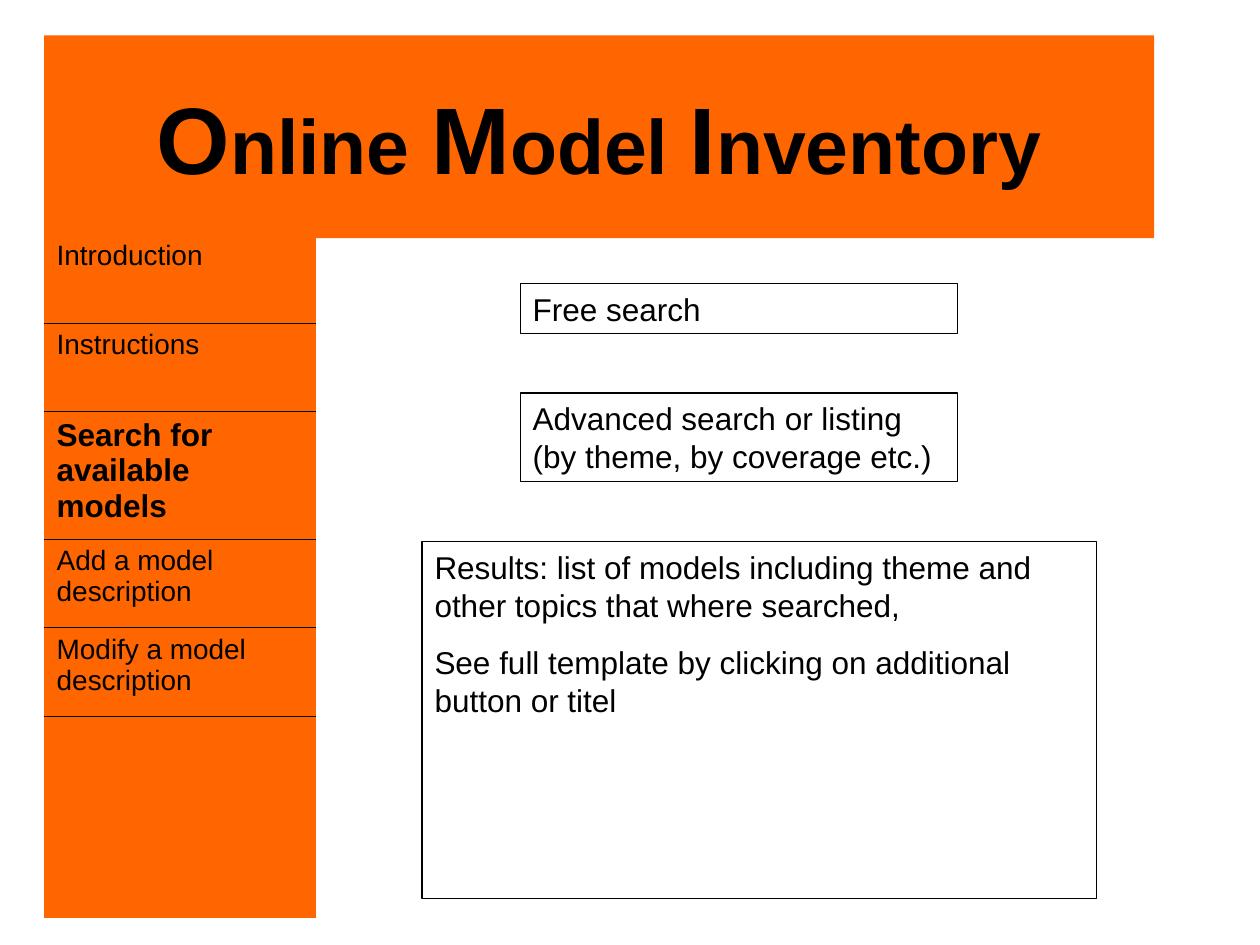
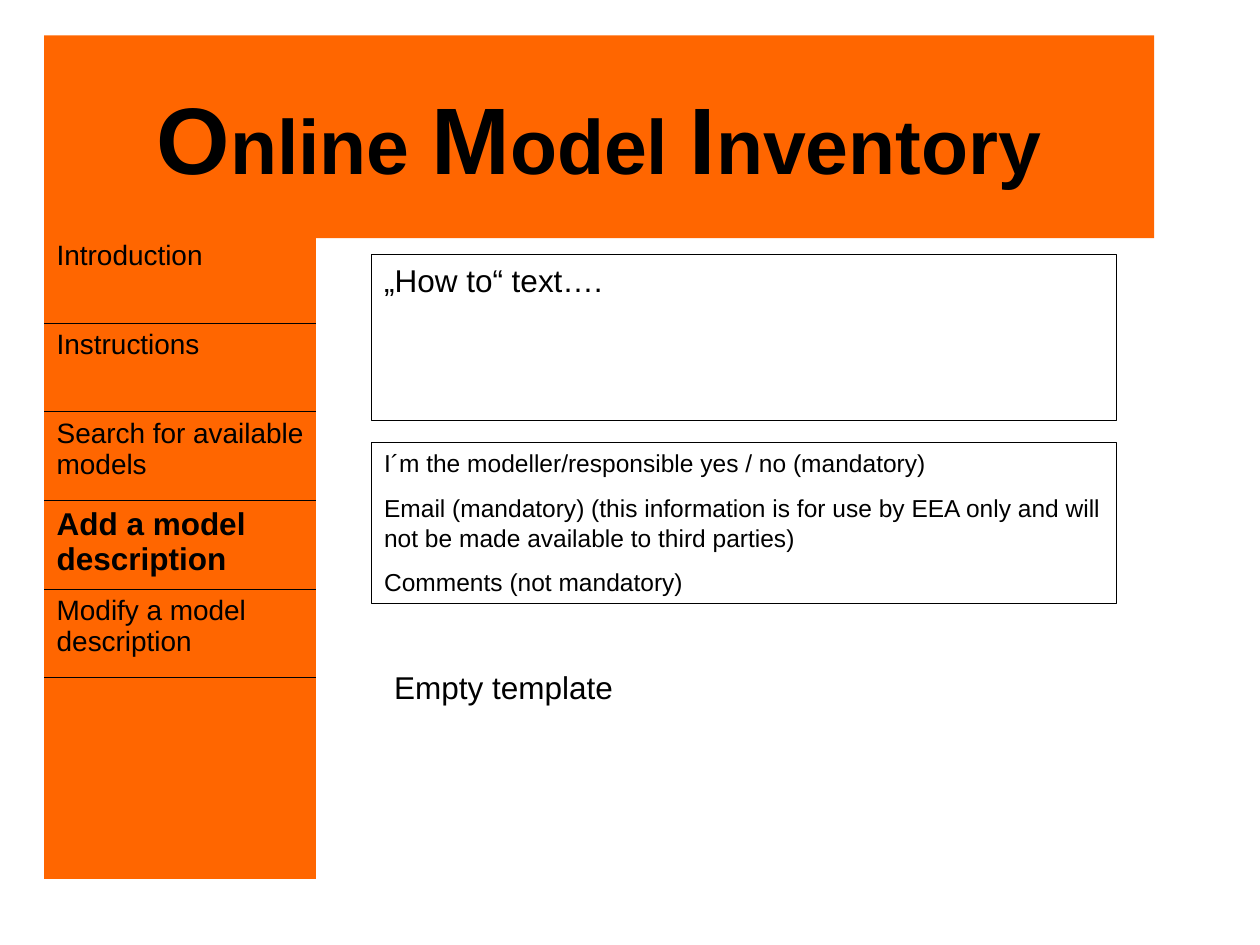
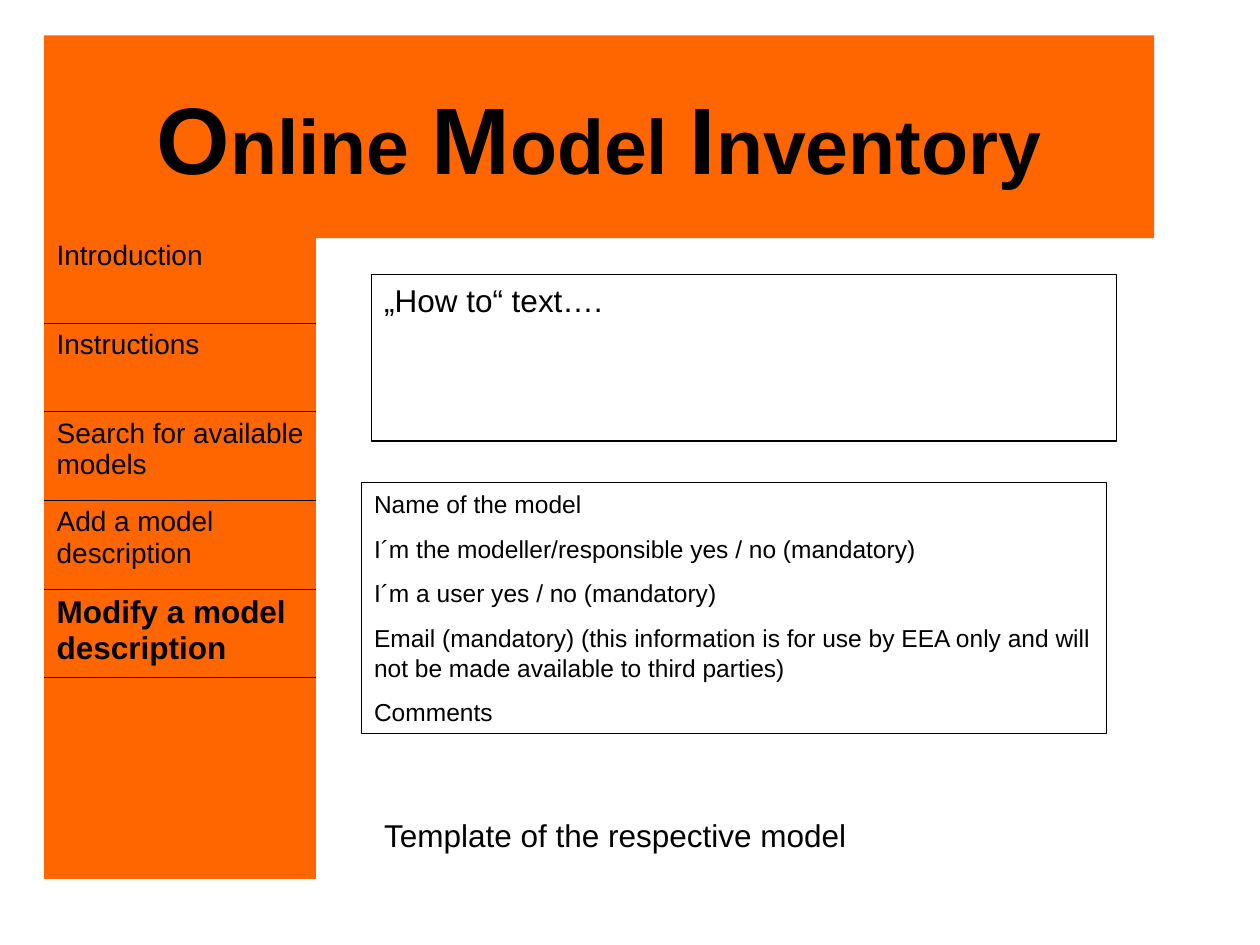
from lxml import etree
from pptx import Presentation
from pptx import util as u
from pptx.dml import color
from pptx.enum import shapes, text
from pptx.oxml import ns

Inches, Pt = u.Inches, u.Pt

# Shared look
COLORS = {"band": "FF6600", "ink": "000000"}
FONT = "Arial"
LEFT = 0.35
TITLE = [("O", 54), ("nline ", 44), ("M", 54), ("odel ", 44), ("I", 54), ("nventory", 44)]
MENU = ["Introduction", "Instructions", "Search for available models",
        "Add a model description", "Modify a model description"]
ROW = 3.52 / len(MENU)  # equal menu rows

# Wording used on more than one slide
HOW_TO = "„How to“ text…."
MODELLER = "I´m the modeller/responsible yes / no (mandatory)"
EMAIL = ("Email (mandatory) (this information is for use by EEA only "
         "and will not be made available to third parties)")


def rgb(name):
    return color.RGBColor.from_string(COLORS[name])


def style_run(r, size, bold=False):
    r.font.name = FONT
    r.font.size = Pt(size)
    r.font.bold = bold
    r.font.color.rgb = rgb("ink")


def add_title(s):
    sp = s.shapes.add_shape(shapes.MSO_SHAPE.RECTANGLE, Inches(LEFT), Inches(0.28),
                            Inches(8.81), Inches(1.61))
    sp.shadow.inherit = False
    sp.fill.solid()
    sp.fill.fore_color.rgb = rgb("band")
    sp.line.fill.background()
    tf = sp.text_frame
    tf.word_wrap = True
    tf.vertical_anchor = text.MSO_ANCHOR.MIDDLE
    p = tf.paragraphs[0]
    p.alignment = text.PP_ALIGN.CENTER
    for part, size in TITLE:
        r = p.add_run()
        r.text = part
        style_run(r, size, bold=True)


def set_borders(cell, ruled):
    """Draw a thin line on the ruled sides and none on the others."""
    tc_pr = cell._tc.get_or_add_tcPr()
    for i, side in enumerate(("lnL", "lnR", "lnT", "lnB")):
        ln = etree.Element(ns.qn("a:" + side), w=str(Pt(0.45)))
        if side in ruled:
            fill = etree.SubElement(ln, ns.qn("a:solidFill"))
            etree.SubElement(fill, ns.qn("a:srgbClr"), val=COLORS["ink"])
        else:
            etree.SubElement(ln, ns.qn("a:noFill"))
        tc_pr.insert(i, ln)


def add_menu(s, active, active_height=ROW):
    """Side menu: one row per entry, the active one bold, and an empty foot."""
    heights = [active_height if entry == active else ROW for entry in MENU] + [1.6]
    table = s.shapes.add_table(len(heights), 1, Inches(LEFT), Inches(1.86),
                               Inches(2.16), Inches(sum(heights))).table
    table.first_row = table.horz_banding = False
    for i, height in enumerate(heights):
        table.rows[i].height = Inches(height)
        cell = table.cell(i, 0)
        cell.fill.solid()
        cell.fill.fore_color.rgb = rgb("band")
        ruled = ["lnT"] if i > 0 else []
        if i < len(MENU):
            ruled.append("lnB")
            p = cell.text_frame.paragraphs[0]
            p.text = MENU[i]
            is_active = MENU[i] == active
            style_run(p.runs[0], 18 if is_active else 16, is_active)
        set_borders(cell, ruled)


def add_text(s, left, top, width, height, lines, size=18, framed=True):
    sp = s.shapes.add_textbox(Inches(left), Inches(top), Inches(width), Inches(height))
    if framed:
        sp.line.color.rgb = rgb("ink")
        sp.line.width = Pt(0.75)
    tf = sp.text_frame
    tf.word_wrap = True
    tf.text = "\n".join(lines)
    for p in tf.paragraphs:
        p.space_before = Pt(11.2 if size == 18 else 8.8)
        style_run(p.runs[0], size)


def add_page(prs, active, active_height=ROW):
    s = prs.slides.add_slide(prs.slide_layouts[6])
    add_title(s)
    add_menu(s, active, active_height)
    return s


def main():
    prs = Presentation()
    prs.slide_width, prs.slide_height = Inches(10), Inches(7.5)

    # Search
    s = add_page(prs, MENU[2], active_height=1.01)
    add_text(s, 3.35, 4.3, 5.35, 2.83, [
        "Results: list of models including theme and other topics that where searched,",
        "See full template by clicking on additional button or titel"])
    add_text(s, 4.13, 2.25, 3.47, 0.4, ["Free search"])
    add_text(s, 4.13, 3.12, 3.47, 0.7,
             ["Advanced search or listing (by theme, by coverage etc.)"])

    # Add a description
    s = add_page(prs, MENU[3])
    add_text(s, 2.95, 2.02, 5.91, 1.32, [HOW_TO])
    add_text(s, 2.95, 3.51, 5.91, 1.28,
             [MODELLER, EMAIL, "Comments (not mandatory)"], size=14)
    add_text(s, 3.03, 5.25, 5.75, 0.4, ["Empty template"], framed=False)

    # Modify a description
    s = add_page(prs, MENU[4])
    add_text(s, 2.95, 2.18, 5.91, 1.32, [HOW_TO])
    add_text(s, 2.87, 3.83, 5.91, 1.99,
             ["Name of the model", MODELLER, "I´m a user yes / no (mandatory)",
              EMAIL, "Comments"], size=14)
    add_text(s, 2.95, 6.43, 5.75, 0.4, ["Template of the respective model"], framed=False)

    prs.save("out.pptx")


main()
